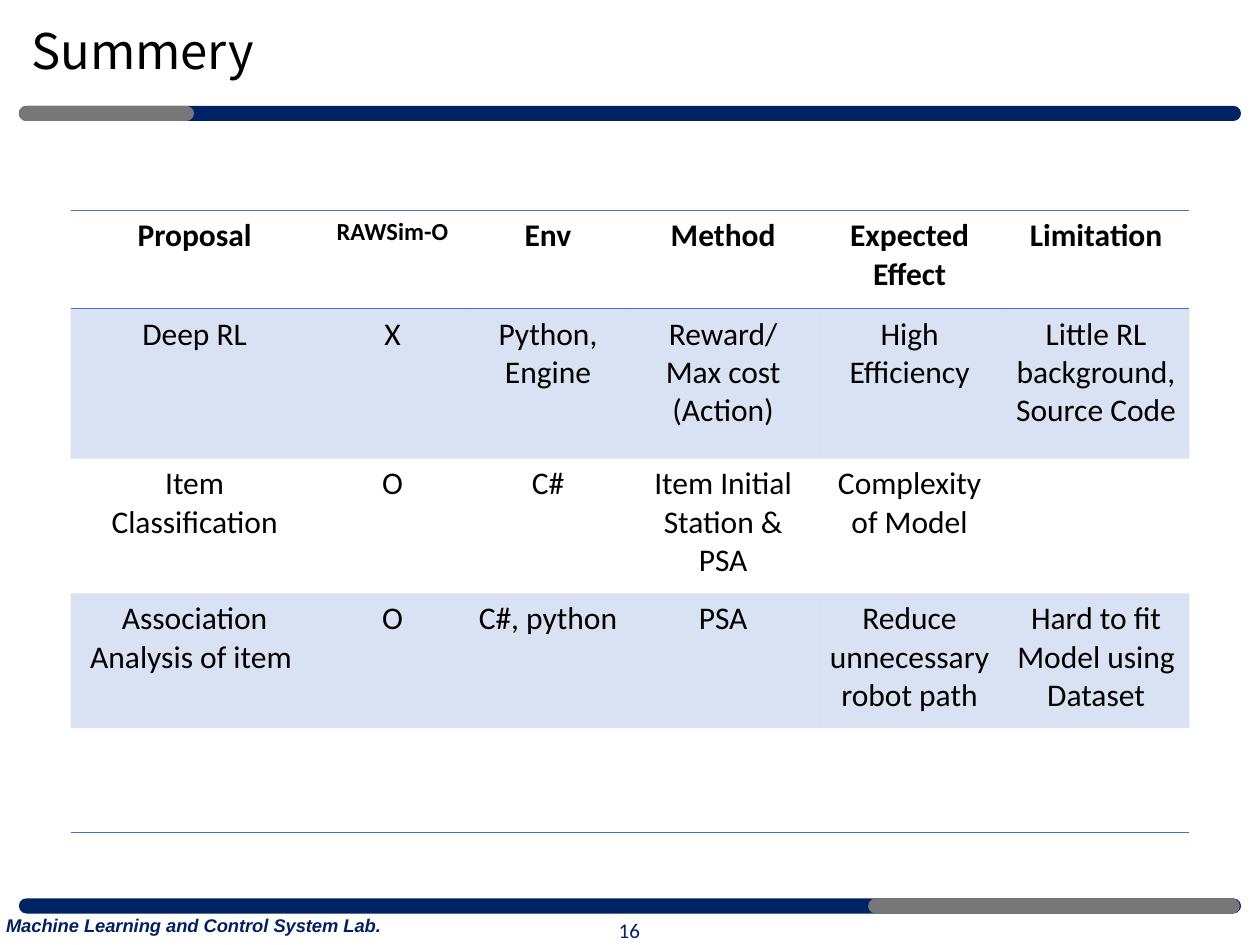
from lxml import etree
from pptx import Presentation
from pptx import util as u
from pptx.dml.color import RGBColor
from pptx.enum import shapes, text
from pptx.oxml import ns

NAVY, GRAY, BLUE, BLACK = "002366", "777777", "4472C4", "000000"
Inches = u.Inches


def paint(color_format, hex_color):
    color_format.rgb = RGBColor.from_string(hex_color)


def add_run(paragraph, wording, size, font, color, bold=False, italic=False):
    run = paragraph.add_run()
    run.text = wording
    run.font.size = u.Pt(size)
    run.font.name = font
    run.font.bold = bold
    run.font.italic = italic
    paint(run.font.color, color)
    for script in ("a:ea", "a:cs"):
        etree.SubElement(run.font._element, ns.qn(script), typeface=font)


prs = Presentation()
prs.slide_width, prs.slide_height = Inches(10), Inches(7.5)
slide = prs.slides.add_slide(prs.slide_layouts[6])

# Header and footer bars: a full-width bar with a gray section on top
for left, top, width, color in (
    (0.15, 0.84, 9.7, NAVY),
    (0.15, 0.84, 1.39, GRAY),
    (0.15, 7.13, 9.7, NAVY),
    (6.89, 7.13, 2.95, GRAY),
):
    bar = slide.shapes.add_shape(
        shapes.MSO_SHAPE.ROUNDED_RECTANGLE,
        Inches(left), Inches(top), Inches(width), Inches(0.12))
    bar.adjustments[0] = 0.5
    bar.shadow.inherit = False
    bar.fill.solid()
    paint(bar.fill.fore_color, color)
    bar.line.fill.background()

# Title, lab name and page number
MIDDLE, TOP = text.MSO_ANCHOR.MIDDLE, text.MSO_ANCHOR.TOP
LEFT, CENTER = text.PP_ALIGN.LEFT, text.PP_ALIGN.CENTER
for box, anchor, align, spacing, run in (
    ((0.15, 0.06, 8.62, 0.73), MIDDLE, LEFT, 0.9,
     ("Summery", 28, "Noto Sans CJK KR", BLACK)),
    ((-0.05, 7.21, 3.53, 0.28), TOP, LEFT, 1.0,
     ("Machine Learning and Control System Lab.", 10.5, "Arial", "002060", True, True)),
    ((3.87, 7.18, 2.25, 0.4), MIDDLE, CENTER, 1.0,
     ("16", 12, "Calibri", NAVY)),
):
    frame = slide.shapes.add_textbox(*map(Inches, box)).text_frame
    frame.word_wrap = True
    frame.vertical_anchor = anchor
    paragraph = frame.paragraphs[0]
    paragraph.alignment = align
    paragraph.line_spacing = spacing
    add_run(paragraph, *run)

# Comparison of the proposals; a line break in a cell starts a new paragraph
proposals = (
    ("Proposal", "RAWSim-O", "Env", "Method", "Expected Effect", "Limitation"),
    ("Deep RL", "X", "Python, Engine", "Reward/ Max cost\n(Action)",
     "High Efficiency", "Little RL background, Source Code"),
    ("Item Classification", "O", "C#", "Item Initial Station & PSA",
     "Complexity of Model", ""),
    ("Association Analysis of item ", "O", "C#, python", "PSA",
     "Reduce unnecessary robot path", "Hard to fit Model using Dataset"),
    ("",) * 6,
)
column_widths = (1.97, 1.17, 1.3, 1.48, 1.48, 1.48)
row_heights = (0.78, 1.19, 1.07, 1.07, 0.83)
ruled_sides = {0: ("a:lnT", "a:lnB"), len(proposals) - 1: ("a:lnB",)}

table = slide.shapes.add_table(
    len(row_heights), len(column_widths),
    Inches(0.56), Inches(1.67), Inches(8.88), Inches(4.94)).table
table.first_row = table.horz_banding = False
style_id = table._tbl.tblPr.find(ns.qn("a:tableStyleId"))
style_id.text = "{2D5ABB26-0587-4C30-8999-92F81FD0307C}"  # no style, no grid
for column, width in zip(table.columns, column_widths):
    column.width = Inches(width)

for r, (height, entries) in enumerate(zip(row_heights, proposals)):
    table.rows[r].height = Inches(height)
    for c, entry in enumerate(entries):
        cell = table.cell(r, c)
        cell_props = cell._tc.get_or_add_tcPr()
        for side in ruled_sides.get(r, ()):
            rule = etree.SubElement(cell_props, ns.qn(side), w=str(u.Pt(1)))
            rule_fill = etree.SubElement(rule, ns.qn("a:solidFill"))
            etree.SubElement(rule_fill, ns.qn("a:srgbClr"), val=BLUE)
        if r % 2:
            cell.fill.solid()
            paint(cell.fill.fore_color, BLUE)
            tint = cell_props.find(".//" + ns.qn("a:solidFill") + "/" + ns.qn("a:srgbClr"))
            etree.SubElement(tint, ns.qn("a:alpha"), val="20000")
        else:
            cell.fill.background()
        if not entry:
            continue
        for i, line in enumerate(entry.split("\n")):
            frame = cell.text_frame
            paragraph = frame.add_paragraph() if i else frame.paragraphs[0]
            paragraph.alignment = CENTER
            size = 14 if (r, c) == (0, 1) else 18
            add_run(paragraph, line, size, "Calibri", BLACK, bold=r == 0)

prs.save("out.pptx")
